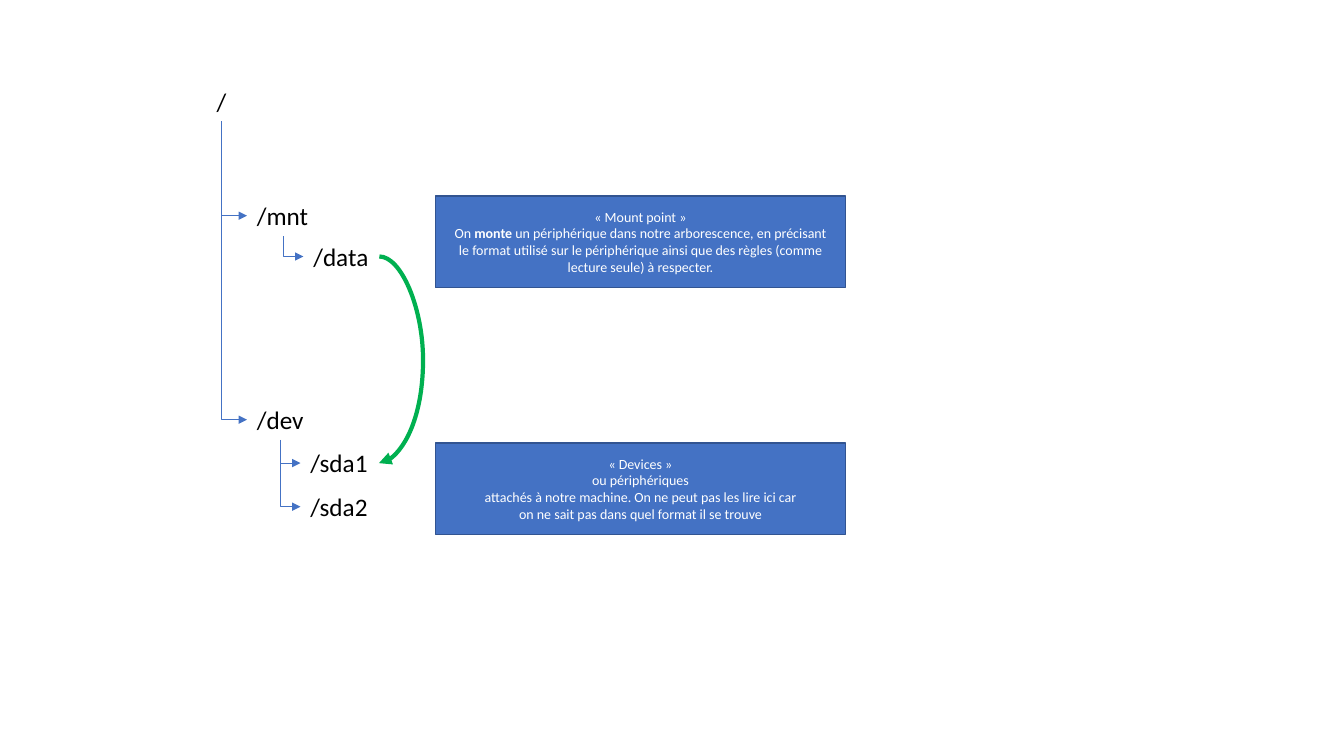
from pptx import Presentation
from pptx.dml.color import RGBColor
from pptx.enum.shapes import MSO_CONNECTOR as CONN, MSO_SHAPE as SHAPE
from pptx.enum.text import MSO_ANCHOR as ANCHOR, MSO_AUTO_SIZE as AUTO, PP_ALIGN as ALIGN
from pptx.oxml.ns import qn
from pptx.util import Pt
from lxml.etree import SubElement


def rgb(hex_color):
    return RGBColor.from_string(hex_color)


def style_arrow(c, preset, color, width):
    """Set the connector's preset, line and arrowhead, and drop its shadow."""
    c.line.color.rgb = rgb(color)
    c.line.width = Pt(width)
    sp_pr = c._element.spPr
    sp_pr.find(qn("a:prstGeom")).set("prst", preset)
    SubElement(sp_pr.find(qn("a:ln")), qn("a:tailEnd"), type="triangle")
    SubElement(sp_pr, qn("a:effectLst"))


prs = Presentation()
prs.slide_width, prs.slide_height = Pt(960), Pt(540)
s = prs.slides.add_slide(prs.slide_layouts[6])

# Directory names: text, left, top, width
LABEL_H = 29
directories = [
    ("/", 147.6, 57.8, 21.6),
    ("/mnt", 176.4, 139.6, 51.8),
    ("/data", 216.7, 168.7, 54),
    ("/dev", 176.4, 285.3, 48.2),
    ("/sda1", 214.6, 316.3, 56.2),
    ("/sda2", 214.6, 347.4, 56.2),
]
for name, left, top, width in directories:
    tb = s.shapes.add_textbox(Pt(left), Pt(top), Pt(width), Pt(LABEL_H))
    tf = tb.text_frame
    tf.word_wrap = False
    tf.auto_size = AUTO.SHAPE_TO_FIT_TEXT
    tf.text = name
    font = tf.paragraphs[0].runs[0].font
    font.name, font.size = "Calibri", Pt(18)
    font.color.rgb = rgb("000000")

# Tree branches, from below the parent to the left side of the child
branches = [(0, 1), (0, 3), (1, 2), (3, 4), (3, 5)]
for parent, child in branches:
    _, left, top, width = directories[parent]
    x1, y1 = left + width / 2, top + LABEL_H
    x2, y2 = directories[child][1], directories[child][2] + LABEL_H / 2
    # The elbow is drawn lying down, then turned so that it goes down first
    cx, cy = (x1 + x2) / 2, (y1 + y2) / 2
    dx, dy = (x2 - x1) / 2, (y2 - y1) / 2
    c = s.shapes.add_connector(CONN.ELBOW, Pt(cx + dy), Pt(cy - dx), Pt(cx - dy), Pt(cy + dx))
    c._element.spPr.find(qn("a:xfrm")).set("rot", "16200000")
    style_arrow(c, "bentConnector2", "4472C4", 0.5)

# Explanations: top and paragraphs; every second piece of a paragraph is bold
explanations = [
    (316.3, [
        ["« Devices »"],
        ["ou périphériques"],
        ["attachés à notre machine. On ne peut pas les lire ici car\n"
         "on ne sait pas dans quel format il se trouve"],
    ]),
    (139.9, [
        ["« Mount point »"],
        ["On ", "monte", " un périphérique dans notre arborescence, en précisant\n"
         "le format utilisé sur le périphérique ainsi que des règles "
         "(comme lecture seule) à respecter."],
    ]),
]
for top, paragraphs in explanations:
    box = s.shapes.add_shape(SHAPE.RECTANGLE, Pt(311), Pt(top), Pt(293), Pt(65.5))
    box.shadow.inherit = False
    box.fill.solid()
    box.fill.fore_color.rgb = rgb("4472C4")
    box.line.color.rgb = rgb("325491")
    box.line.width = Pt(1)
    tf = box.text_frame
    tf.word_wrap = True
    tf.vertical_anchor = ANCHOR.MIDDLE
    for i, pieces in enumerate(paragraphs):
        p = tf.add_paragraph() if i else tf.paragraphs[0]
        p.alignment = ALIGN.CENTER
        for j, piece in enumerate(pieces):
            for k, line in enumerate(piece.split("\n")):
                if k:
                    p.add_line_break()
                    SubElement(p._p[-1], qn("a:rPr"), sz="1000")
                r = p.add_run()
                r.text = line
                r.font.name, r.font.size = "Calibri", Pt(10)
                r.font.bold = j % 2 == 1
                r.font.color.rgb = rgb("FFFFFF")

# Mount arrow from /data to /sda1, bulging 30 points to the right
BULGE, SPAN = 30, 0.3
_, left, top, width = directories[2]
x, y = left + width, top + LABEL_H / 2
c = s.shapes.add_connector(CONN.CURVE, Pt(x + SPAN), Pt(y), Pt(x),
                           Pt(directories[4][2] + LABEL_H / 2))
style_arrow(c, "curvedConnector3", "00B050", 3)
guides = c._element.spPr.find(qn("a:prstGeom")).find(qn("a:avLst"))
SubElement(guides, qn("a:gd"), name="adj1", fmla=f"val {round(-BULGE / SPAN * 100000)}")

prs.save("out.pptx")
